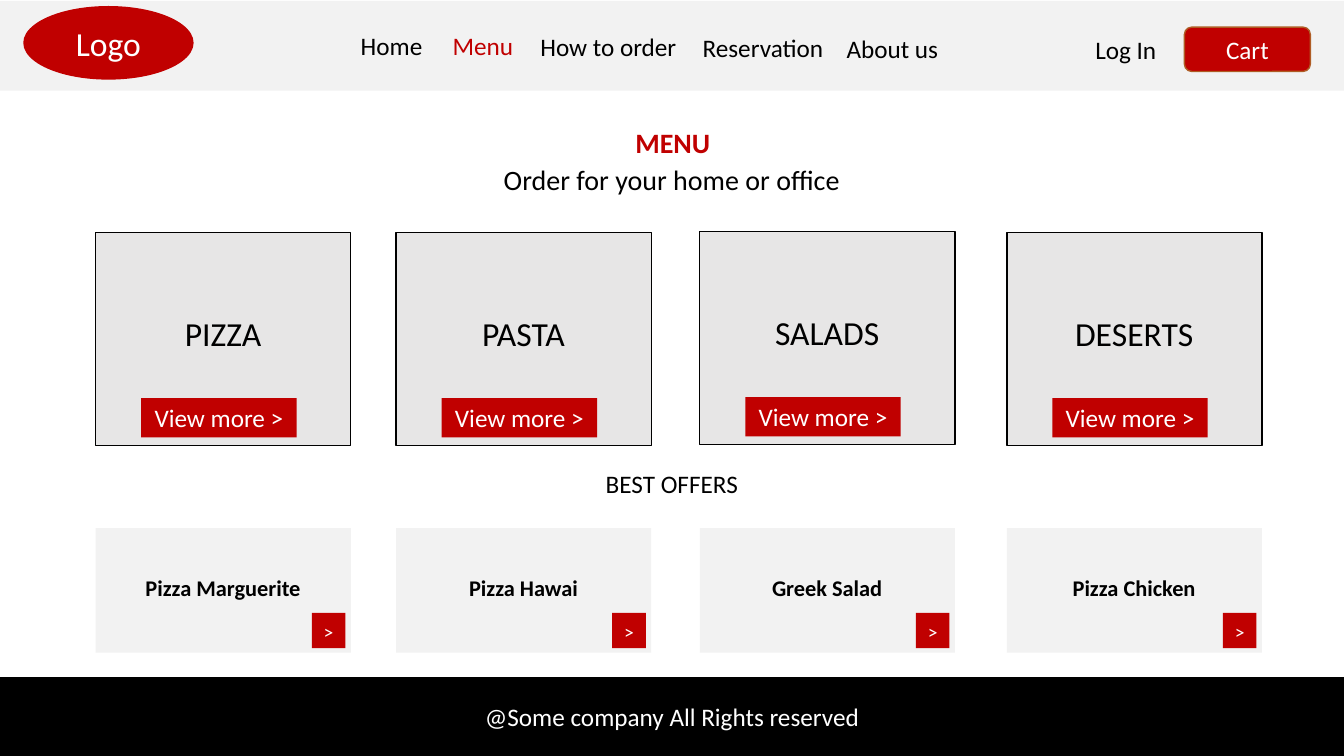
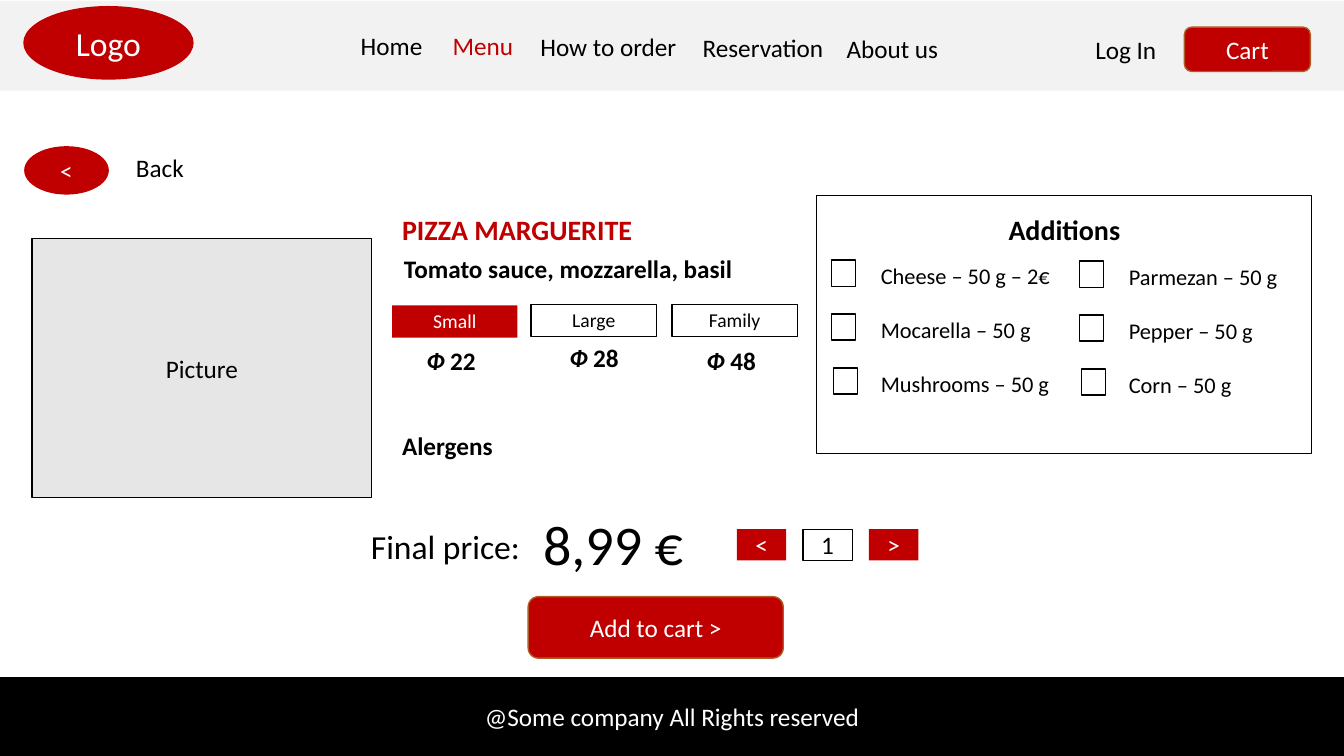
import dataclasses

import pptx
import pptx.dml.color
import pptx.enum.shapes
import pptx.enum.text
import pptx.util

Pt = pptx.util.Pt
Align = pptx.enum.text.PP_ALIGN
Anchor = pptx.enum.text.MSO_ANCHOR
Kind = pptx.enum.shapes.MSO_SHAPE


@dataclasses.dataclass(frozen=True)
class Theme:
    font: str = "Calibri"
    red: str = "C00000"
    rust: str = "AF5C24"
    black: str = "000000"
    white: str = "FFFFFF"
    band: str = "F2F2F2"
    tile: str = "E7E6E6"
    small: int = 14
    item: int = 16
    body: int = 18
    title: int = 20
    large: int = 24
    price: int = 40


THEME = Theme()
SLIDE_W, SLIDE_H = 960, 540

# Shared page frame: text, (left, top, width, height), colour, alignment
NAVIGATION = [
    ("Home", (250.6, 18, 59.8, 28.8), THEME.black, Align.LEFT),
    ("Menu", (308.9, 18, 72, 28.8), THEME.red, Align.CENTER),
    ("How to order", (373, 18.7, 123.1, 28.8), THEME.black, Align.CENTER),
    ("Reservation", (491, 19.4, 108, 28.8), THEME.black, Align.CENTER),
    ("About us", (588.2, 20.2, 98.6, 28.8), THEME.black, Align.CENTER),
    ("Log In", (768.2, 20.9, 72, 28.8), THEME.black, Align.CENTER),
]
COPYRIGHT = "@Some company All Rights reserved"

# Menu page: column left, category, category top, best offer
MENU_COLUMNS = [
    (68.4, "PIZZA", 166.3, "Pizza Marguerite"),
    (283, "PASTA", 166.3, "Pizza Hawai"),
    (499.9, "SALADS", 165.6, "Greek Salad"),
    (719.2, "DESERTS", 166.3, "Pizza Chicken"),
]
COLUMN_W, CATEGORY_H = 182.2, 152
OFFER_TOP, OFFER_H = 377.3, 88.8

# Product page: size, button left and top, diameter, its left and top
SIZES = [
    ("Small", 280.1, 218.2, "22", 297.4, 243.4),
    ("Large", 379.4, 217.4, "28", 399.6, 241.2),
    ("Family", 480, 217.4, "48", 497.5, 243.4),
]
# Checkbox left and top, list left, additions
ADDITIONS = [
    (594, 185.8, 622.1, ["Cheese – 50 g – 2€", "Mocarella – 50 g", "Mushrooms – 50 g"]),
    (771.1, 186.5, 799.2, ["Parmezan – 50 g", "Pepper – 50 g", "Corn – 50 g"]),
]
ADDITION_PITCH, ADDITION_GAP = 38.5, 19.5
LAST_BOX_SHIFT = 1.4
STEPPER = [("<", THEME.red, THEME.white), ("1", THEME.white, THEME.black), (">", THEME.red, THEME.white)]
STEPPER_LEFT, STEPPER_PITCH = 526.3, 47.2


def rgb(code):
    return pptx.dml.color.RGBColor.from_string(code)


def set_font(font, size, color, bold=False):
    font.name = THEME.font
    font.size = Pt(size)
    font.bold = bold
    font.color.rgb = rgb(color)


def add_label(slide, text, box, size=THEME.body, color=THEME.black,
              bold=False, align=Align.LEFT, gap=0):
    """Add unfilled text; each line of text becomes a paragraph, gap points apart."""
    frame = slide.shapes.add_textbox(*map(Pt, box)).text_frame
    frame.word_wrap = True
    frame.text = text
    for index, paragraph in enumerate(frame.paragraphs):
        paragraph.alignment = align
        if index and gap:
            paragraph.space_before = Pt(gap)
        set_font(paragraph.font, size, color, bold)
    return frame


def add_block(slide, box, fill=None, line=None, text="", size=THEME.body,
              color=THEME.white, kind=Kind.RECTANGLE, anchor=Anchor.MIDDLE):
    block = slide.shapes.add_shape(kind, *map(Pt, box))
    block.shadow.inherit = False
    if fill:
        block.fill.solid()
        block.fill.fore_color.rgb = rgb(fill)
    else:
        block.fill.background()
    if line:
        block.line.color.rgb = rgb(line)
        block.line.width = Pt(1)
    else:
        block.line.fill.background()
    if text:
        frame = block.text_frame
        frame.vertical_anchor = anchor
        frame.text = text
        frame.paragraphs[0].alignment = Align.CENTER
        set_font(frame.paragraphs[0].font, size, color)


def add_page(deck):
    """Add a blank slide with the header and footer bands."""
    slide = deck.slides.add_slide(deck.slide_layouts[6])
    add_block(slide, (0, 0.7, SLIDE_W, 64.1), THEME.band)
    add_block(slide, (16.6, 4.3, 121.7, 52.6), THEME.red, text="Logo",
              size=THEME.large, kind=Kind.OVAL)
    for text, box, color, align in NAVIGATION:
        add_label(slide, text, box, color=color, align=align)
    add_block(slide, (846, 19.4, 90, 31.7), THEME.red, THEME.rust, "Cart",
              kind=Kind.ROUNDED_RECTANGLE)
    add_block(slide, (0, 483.8, SLIDE_W, SLIDE_H - 483.8), THEME.black, THEME.black, COPYRIGHT)
    return slide


def build_menu(deck):
    slide = add_page(deck)
    add_label(slide, "MENU", (285.8, 86.4, 389.5, 31.7), THEME.title, THEME.red, True, Align.CENTER)
    add_label(slide, "Order for your home or office", (285.1, 112.3, 389.5, 31.7),
              THEME.title, align=Align.CENTER)
    add_label(slide, "BEST OFFERS", (244.8, 331.2, 470.2, 28.8), align=Align.CENTER)
    for left, category, top, offer in MENU_COLUMNS:
        add_block(slide, (left, top, COLUMN_W, CATEGORY_H), THEME.tile, THEME.black)
        add_label(slide, category, (left + 27.6, top + 54, 126.7, 36),
                  THEME.large, align=Align.CENTER)
        add_block(slide, (left + 32.5, top + 118.1, 111, 28), THEME.red,
                  text="View more >", anchor=Anchor.BOTTOM)
        add_block(slide, (left, OFFER_TOP, COLUMN_W, OFFER_H), THEME.band)
        add_label(slide, offer, (left + 27.6, OFFER_TOP + 29.5, 126.7, 26.6),
                  THEME.item, bold=True, align=Align.CENTER)
        add_block(slide, (left + 154.3, OFFER_TOP + 60.5, 24, 25.2), THEME.red,
                  text=">", size=THEME.small, anchor=Anchor.BOTTOM)


def add_sizes(slide):
    for index, (name, left, top, diameter, label_left, label_top) in enumerate(SIZES):
        chosen = index == 0
        add_block(slide, (left, top, 89.5, 23), THEME.red if chosen else None,
                  None if chosen else THEME.black, name, THEME.small,
                  THEME.white if chosen else THEME.black, anchor=Anchor.BOTTOM)
        label = add_label(slide, "Ф ", (label_left, label_top, 55.4, 28.8), bold=True)
        paragraph = label.paragraphs[0]
        paragraph.runs[0].font.italic = True
        paragraph.add_run().text = diameter


def add_additions(slide):
    add_block(slide, (583.2, 139.9, 353.5, 184.3), line=THEME.black)
    add_label(slide, "Additions", (666.7, 148.3, 187.2, 31.7), THEME.title,
              bold=True, align=Align.CENTER)
    for box_left, box_top, list_left, names in ADDITIONS:
        add_label(slide, "\n".join(names), (list_left, box_top - 2.2, 149.8, 104.4),
                  THEME.item, gap=ADDITION_GAP)
        for row in range(len(names)):
            shift = LAST_BOX_SHIFT if row == len(names) - 1 else 0
            add_block(slide, (box_left + shift, box_top + row * ADDITION_PITCH, 17.3, 18.7),
                      line=THEME.black)


def build_product(deck):
    slide = add_page(deck)
    add_block(slide, (17.3, 104.4, 60.5, 34.6), THEME.red, text="<", kind=Kind.OVAL)
    add_label(slide, "Back", (90, 105.1, 131, 28.8))
    add_block(slide, (23, 170.4, 242.6, 185), THEME.tile, THEME.black, "Picture",
              color=THEME.black)
    add_label(slide, "PIZZA MARGUERITE", (280.1, 148.3, 389.5, 31.7),
              THEME.title, THEME.red, True)
    add_label(slide, "Tomato sauce, mozzarella, basil", (281.5, 177.1, 266.4, 31.7), bold=True)
    add_sizes(slide)
    add_label(slide, "Alergens", (280.1, 303.8, 112.3, 31.7), bold=True)
    add_additions(slide)
    add_label(slide, "Final price:", (257.8, 372.2, 123.8, 36), THEME.large)
    add_label(slide, "8,99 €", (380.9, 360.7, 128.2, 55.4), THEME.price)
    for index, (text, fill, color) in enumerate(STEPPER):
        add_block(slide, (STEPPER_LEFT + index * STEPPER_PITCH, 378, 35.3, 22.3), fill,
                  THEME.black if fill == THEME.white else None, text, color=color)
    add_block(slide, (377.3, 426.2, 182.2, 43.9), THEME.red, THEME.rust, "Add to cart >",
              kind=Kind.ROUNDED_RECTANGLE)


def main():
    deck = pptx.Presentation()
    deck.slide_width, deck.slide_height = Pt(SLIDE_W), Pt(SLIDE_H)
    build_menu(deck)
    build_product(deck)
    deck.save("out.pptx")


if __name__ == "__main__":
    main()
